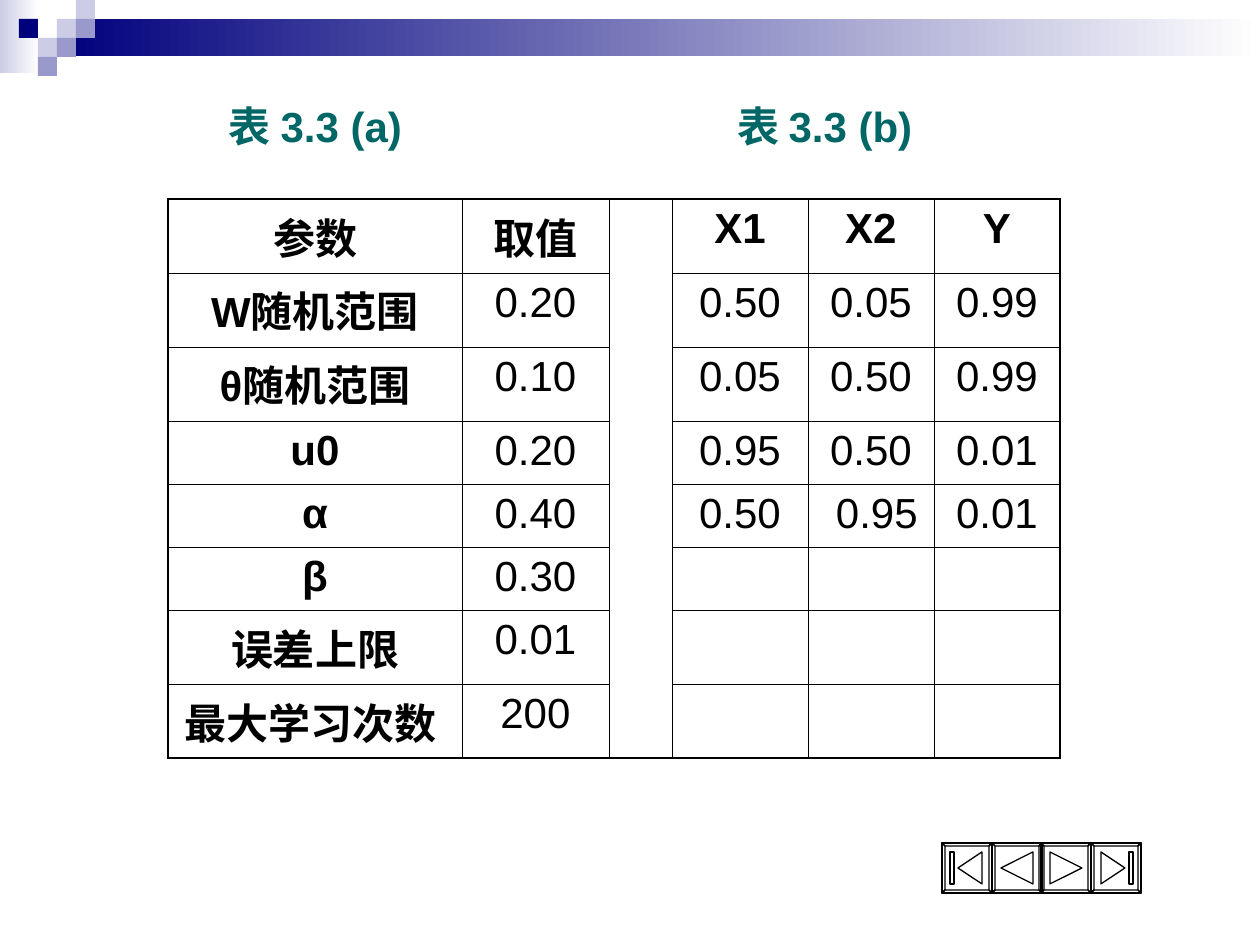
from lxml.etree import SubElement as Sub
from pptx import Presentation
from pptx.dml.color import RGBColor as Rgb
from pptx.enum.shapes import MSO_SHAPE as Kind
from pptx.enum.text import PP_ALIGN as Align
from pptx.oxml.ns import qn
from pptx.util import Pt

SCALE = 914400 / 126
HUES = {
    "navy": "00007D", "mid": "9999CC", "pale": "CCCCE6",
    "white": "FFFFFF", "black": "000000", "teal": "006666",
}
UNIT = 19
TILES = [
    (3, 1, "pale"), (4, 0, "pale"), (4, 1, "mid"), (2, 2, "pale"),
    (1, 1, "navy"), (3, 2, "mid"), (2, 3, "mid"),
]
COLS = [294, 147, 63, 136, 126, 126]
ROWS = [74, 74, 74, 60, 59, 60, 74, 74]
GAP = 2
CELLS = [
    ["参数", "取值", "", "X1", "X2", "Y"],
    ["W随机范围", "0.20", "", "0.50", "0.05", "0.99"],
    ["θ随机范围", "0.10", "", "0.05", "0.50", "0.99"],
    ["u0", "0.20", "", "0.95", "0.50", "0.01"],
    ["α", "0.40", "", "0.50", " 0.95 ", "0.01"],
    ["β", "0.30", "", "", "", ""],
    ["误差上限", "0.01", "", "", "", ""],
    ["最大学习次数 ", "200", "", "", "", ""],
]
SIDE = 50
RIM = 3
ARROW = [(9, 25), (41, 9), (41, 41)]
SHORT = [(16, 25), (40, 9), (40, 41)]
BAR = [(8, 9), (12, 9), (12, 41), (8, 41)]


def px(n):
    return round(n * SCALE)


def hue(name):
    return Rgb.from_string(HUES[name])


def write(par, text, tone, bold):
    run = par.add_run()
    run.text = text
    font = run.font
    font.name, font.size, font.bold = "Arial", Pt(24), bold
    font.color.rgb = hue(tone)


def block(slide, x, y, w, h, *tones):
    box = slide.shapes.add_shape(Kind.RECTANGLE, px(x), px(y), px(w), px(h))
    box.shadow.inherit = False
    box.line.fill.background()
    if len(tones) == 1:
        box.fill.solid()
        box.fill.fore_color.rgb = hue(tones[0])
        return
    box.fill.gradient()
    box.fill.gradient_angle = 0
    for stop, tone, spot in zip(box.fill.gradient_stops, tones, (0, 1)):
        stop.color.rgb = hue(tone)
        stop.position = spot


def title(slide, parts, start, tab):
    box = slide.shapes.add_textbox(px(168), px(94), px(872), px(63))
    frame = box.text_frame
    frame.word_wrap = True
    frame.margin_left = px(start - 168)
    par = frame.paragraphs[0]
    stops = Sub(par._p.get_or_add_pPr(), qn("a:tabLst"))
    Sub(stops, qn("a:tab"), pos=str(px(tab - start)), algn="l")
    write(par, "\t".join(parts), "teal", True)


def edge(cell, side, wide):
    width = Pt(1.08 if wide else 0.45)
    line = Sub(cell._tc.get_or_add_tcPr(), qn("a:ln" + side), w=str(width))
    fill = Sub(line, qn("a:solidFill"))
    Sub(fill, qn("a:srgbClr"), val=HUES["black"])


def fill_cell(cell, text, row, col):
    last = len(ROWS) - 1
    edge(cell, "L", col == 0)
    edge(cell, "R", col == len(COLS) - 1)
    edge(cell, "T", row == 0)
    edge(cell, "B", row == last or col == GAP)
    cell.fill.background()
    if text:
        par = cell.text_frame.paragraphs[0]
        par.alignment = Align.CENTER
        write(par, text, "black", row == 0 or col == 0)


def grid(slide):
    frame = slide.shapes.add_table(
        len(ROWS), len(COLS), px(168), px(199), px(sum(COLS)), px(sum(ROWS)))
    table = frame.table
    table.first_row = table.horz_banding = False
    for col, wide in zip(table.columns, COLS):
        col.width = px(wide)
    for row, high in zip(table.rows, ROWS):
        row.height = px(high)
    table.cell(0, GAP).merge(table.cell(len(ROWS) - 1, GAP))
    for r, texts in enumerate(CELLS):
        for c, text in enumerate(texts):
            cell = table.cell(r, c)
            if not cell.is_spanned:
                fill_cell(cell, text, r, c)


def flip(path):
    return [(SIDE - x, y) for x, y in path]


def button(slide, left, top, *marks):
    far = SIDE - RIM
    outer = [(0, 0), (SIDE, 0), (SIDE, SIDE), (0, SIDE)]
    inner = [(RIM, RIM), (far, RIM), (far, far), (RIM, far)]
    rims = [[outer[i - 1], outer[i], inner[i], inner[i - 1]] for i in range(4)]
    pen = slide.shapes.build_freeform(*outer[0], scale=SCALE)
    pen.add_line_segments(outer[1:])
    for path in rims + list(marks):
        pen.move_to(*path[0])
        pen.add_line_segments(path[1:])
    shape = pen.convert_to_shape(px(left), px(top))
    shape.shadow.inherit = False
    shape.fill.solid()
    shape.fill.fore_color.rgb = hue("white")
    shape.line.color.rgb = hue("black")
    shape.line.width = Pt(0.75)


def main():
    deck = Presentation()
    deck.slide_width, deck.slide_height = px(1260), px(945)
    slide = deck.slides.add_slide(deck.slide_layouts[6])
    block(slide, 0, 0, 39, 73, "pale", "white")
    block(slide, 57, 19, 1203, 37, "navy", "white")
    for col, row, tone in TILES:
        block(slide, col * UNIT, row * UNIT, UNIT, UNIT, tone)
    button(slide, 942, 843, SHORT, BAR)
    button(slide, 1091, 843, flip(SHORT), flip(BAR))
    button(slide, 1041, 843, flip(ARROW))
    button(slide, 992, 843, ARROW)
    title(slide, ["表 3.3 (a)", "表 3.3 (b)"], 229, 737)
    grid(slide)
    deck.save("out.pptx")


if __name__ == "__main__":
    main()
